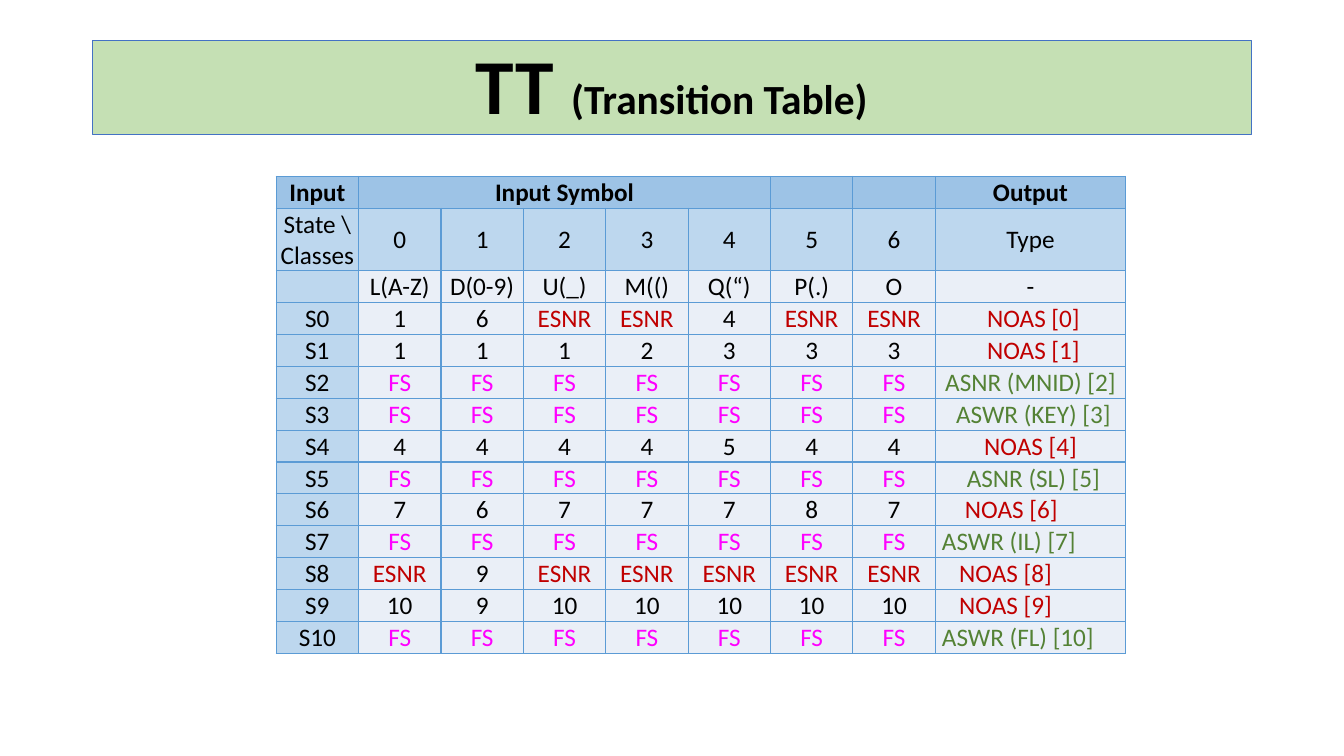
from dataclasses import dataclass

from lxml.etree import SubElement
from pptx import Presentation
from pptx.dml.color import RGBColor
from pptx.enum.text import MSO_ANCHOR, MSO_AUTO_SIZE, PP_ALIGN
from pptx.oxml.ns import qn
from pptx.slide import Slide
from pptx.table import Table, _Cell as Cell
from pptx.text.text import _Paragraph as Paragraph
from pptx.util import Inches, Pt


@dataclass(frozen=True)
class Theme:
    font: str = "Calibri"
    ink: str = "000000"
    final_state: str = "FF00FF"
    rejected: str = "C00000"
    accepted: str = "548235"
    banner: str = "C5E0B4"
    banner_line: str = "4472C4"
    heading: str = "9DC3E6"
    label: str = "BDD7EE"
    body: str = "EAEFF7"
    border: str = "5B9BD5"
    title_size: float = 55.5
    subtitle_size: float = 29.6
    table_size: float = 18
    banner_line_width: float = 0.75
    border_width: float = 1


@dataclass(frozen=True)
class Box:
    """A place on the slide, in grid columns and rows."""
    left: float
    top: float
    width: float
    height: float


@dataclass(frozen=True)
class State:
    name: str
    moves: str
    output: str
    indent: int = 0
    align: PP_ALIGN = PP_ALIGN.CENTER


THEME = Theme()
SLIDE_WIDTH, SLIDE_HEIGHT = Inches(13.333), Inches(7.5)
GRID_COLUMNS, GRID_ROWS = 160, 90
BANNER = Box(11, 4.8, 138, 11.2)
TABLE = Box(32.88, 21, 101.16, 56.76)
OUTPUT_WIDTH = 22.68
CLASS_ROW_HEIGHT = 7.44
CELL_INSET = 0.12
INDENT_STEP = 0.68

SYMBOLS = ["L(A-Z)", "D(0-9)", "U(_)", "M(()", "Q(“)", "P(.)", "O"]
ALL_FINAL = "FS FS FS FS FS FS FS"
LEFT = PP_ALIGN.LEFT
STATES = [
    State("S0", "1 6 ESNR ESNR 4 ESNR ESNR", "NOAS [0]", 1),
    State("S1", "1 1 1 2 3 3 3", "NOAS [1]", 1),
    State("S2", ALL_FINAL, "ASNR (MNID) [2]"),
    State("S3", ALL_FINAL, "ASWR (KEY) [3]", 1),
    State("S4", "4 4 4 4 5 4 4", "NOAS [4]"),
    State("S5", ALL_FINAL, "ASNR (SL) [5]", 1),
    State("S6", "7 6 7 7 7 8 7", "NOAS [6]", 5, LEFT),
    State("S7", ALL_FINAL, "ASWR (IL) [7]", 1, LEFT),
    State("S8", "ESNR 9 ESNR ESNR ESNR ESNR ESNR", "NOAS [8]", 4, LEFT),
    State("S9", "10 9 10 10 10 10 10", "NOAS [9]", 4, LEFT),
    State("S10", ALL_FINAL, "ASWR (FL) [10]", 1, LEFT),
]


def across(columns: float) -> int:
    return round(SLIDE_WIDTH * columns / GRID_COLUMNS)


def down(rows: float) -> int:
    return round(SLIDE_HEIGHT * rows / GRID_ROWS)


def place(box: Box) -> tuple[int, int, int, int]:
    return across(box.left), down(box.top), across(box.width), down(box.height)


def rgb(code: str) -> RGBColor:
    return RGBColor.from_string(code)


def add_run(paragraph: Paragraph, text: str, size: float, color: str, bold: bool) -> None:
    run = paragraph.add_run()
    run.text = text
    run.font.name, run.font.size, run.font.bold = THEME.font, Pt(size), bold
    run.font.color.rgb = rgb(color)


def meaning_color(text: str) -> str:
    """Colour an entry by its code: final state, rejected or accepted."""
    if text == "FS":
        return THEME.final_state
    if text.startswith(("ESNR", "NOAS")):
        return THEME.rejected
    return THEME.accepted if text.startswith("AS") else THEME.ink


def draw_borders(cell: Cell) -> None:
    properties = cell._tc.get_or_add_tcPr()
    for position, side in enumerate(("a:lnL", "a:lnR", "a:lnT", "a:lnB")):
        line = SubElement(properties, qn(side), w=str(Pt(THEME.border_width)))
        SubElement(SubElement(line, qn("a:solidFill")), qn("a:srgbClr"), val=THEME.border)
        properties.insert(position, line)


def fill_cell(cell: Cell, text: str, fill: str, bold: bool = False,
              indent: int = 0, align: PP_ALIGN = PP_ALIGN.CENTER) -> None:
    cell.margin_left = across(CELL_INSET + indent * INDENT_STEP)
    cell.margin_right, cell.margin_top, cell.margin_bottom = across(CELL_INSET), down(CELL_INSET), 0
    cell.vertical_anchor = MSO_ANCHOR.MIDDLE
    cell.fill.solid()
    cell.fill.fore_color.rgb = rgb(fill)
    draw_borders(cell)
    paragraph = cell.text_frame.paragraphs[0]
    paragraph.alignment = align
    if text:
        add_run(paragraph, text, THEME.table_size, meaning_color(text), bold)


def add_banner(slide: Slide) -> None:
    title = slide.shapes.title
    title.left, title.top, title.width, title.height = place(BANNER)
    title.fill.solid()
    title.fill.fore_color.rgb = rgb(THEME.banner)
    title.line.color.rgb = rgb(THEME.banner_line)
    title.line.width = Pt(THEME.banner_line_width)
    frame = title.text_frame
    frame.auto_size, frame.word_wrap = MSO_AUTO_SIZE.NONE, True
    frame.vertical_anchor = MSO_ANCHOR.BOTTOM
    paragraph = frame.paragraphs[0]
    paragraph.alignment, paragraph.line_spacing = PP_ALIGN.CENTER, 0.8
    add_run(paragraph, "TT ", THEME.title_size, THEME.ink, True)
    add_run(paragraph, "(Transition Table)", THEME.subtitle_size, THEME.ink, True)


def size_table(table: Table) -> None:
    *inputs, output = table.columns
    for column in inputs:
        column.width = across((TABLE.width - OUTPUT_WIDTH) / len(inputs))
    output.width = across(OUTPUT_WIDTH)
    for row in table.rows:
        row.height = down((TABLE.height - CLASS_ROW_HEIGHT) / (len(table.rows) - 1))
    table.rows[1].height = down(CLASS_ROW_HEIGHT)


def add_transition_table(slide: Slide) -> None:
    class_numbers = [str(number) for number in range(len(SYMBOLS))]
    rows = [
        ["Input", "Input Symbol", *[""] * (len(SYMBOLS) - 1), "Output"],
        ["State \\ Classes", *class_numbers, "Type"],
        ["", *SYMBOLS, "-"],
        *[[state.name, *state.moves.split(), state.output] for state in STATES],
    ]
    first_state = len(rows) - len(STATES)
    output_column = len(SYMBOLS) + 1
    table = slide.shapes.add_table(len(rows), output_column + 1, *place(TABLE)).table
    table.first_row = table.horz_banding = False
    size_table(table)
    for r, entries in enumerate(rows):
        for c, text in enumerate(entries):
            fill = THEME.heading if r == 0 else THEME.label if r == 1 or c == 0 else THEME.body
            if r >= first_state and c == output_column:
                state = STATES[r - first_state]
                fill_cell(table.cell(r, c), text, fill, False, state.indent, state.align)
            else:
                fill_cell(table.cell(r, c), text, fill, bold=r == 0)
    table.cell(0, 1).merge(table.cell(0, 5))


def main() -> None:
    deck = Presentation()
    deck.slide_width, deck.slide_height = SLIDE_WIDTH, SLIDE_HEIGHT
    slide = deck.slides.add_slide(deck.slide_layouts[5])
    add_transition_table(slide)
    add_banner(slide)
    deck.save("out.pptx")


if __name__ == "__main__":
    main()
